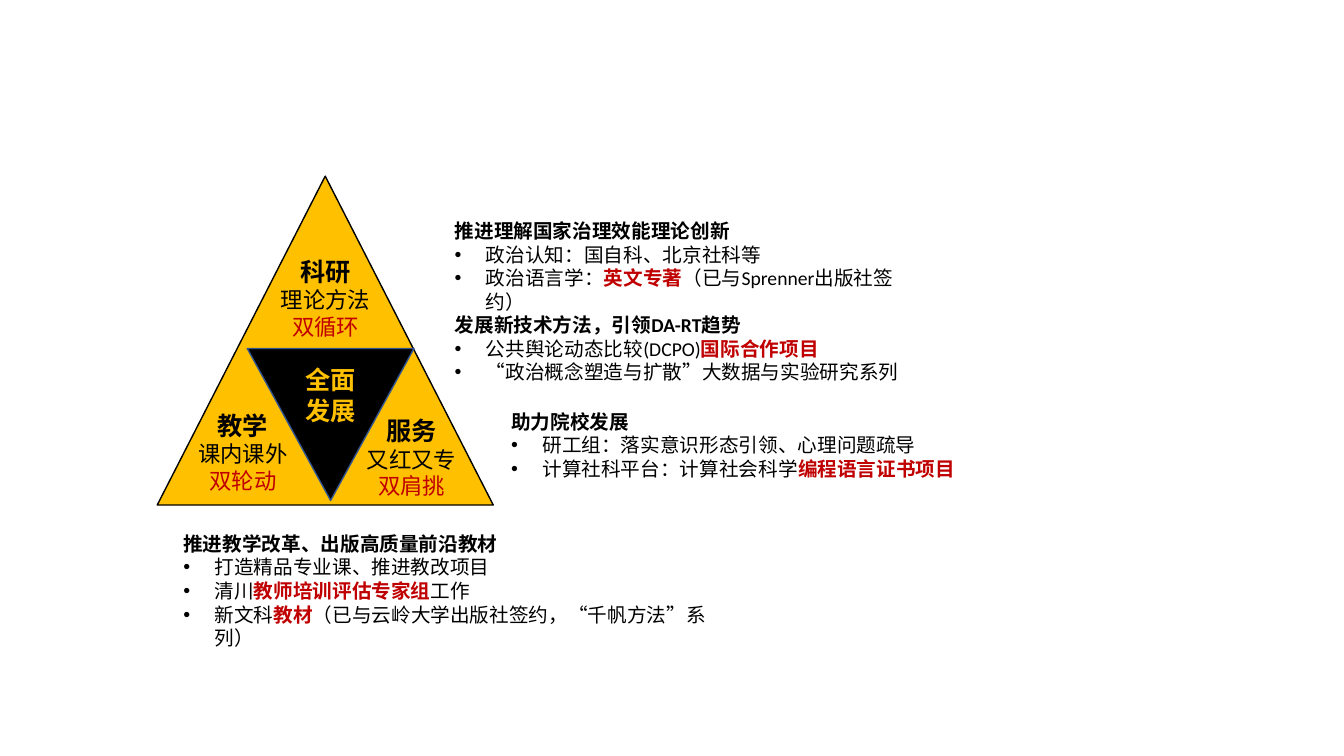
from lxml.etree import SubElement
from pptx import Presentation
from pptx.dml.color import RGBColor
from pptx.enum.shapes import MSO_SHAPE as Shape
from pptx.enum.text import MSO_AUTO_SIZE as AutoSize, PP_ALIGN as Align
from pptx.oxml.ns import qn
from pptx.util import Inches, Pt

WIDTH, HEIGHT = 13.33, 7.5


def color(hex_string):
    """Turn a hex string into a colour."""
    return RGBColor.from_string(hex_string)


def add_text(paragraph, text, size=14, ink="000000", bold=False, font="Calibri"):
    """Add one formatted run to a paragraph."""
    run = paragraph.add_run()
    run.text = text
    run.font.size, run.font.bold, run.font.name = Pt(size), bold, font
    run.font.color.rgb = color(ink)


def add_bullet(paragraph, indent=0.31):
    """Give a paragraph a round bullet and a hanging indent."""
    props = paragraph._p.get_or_add_pPr()
    props.set("marL", str(Inches(indent)))
    props.set("indent", str(-Inches(indent)))
    SubElement(props, qn("a:buFont"), typeface="Arial")
    SubElement(props, qn("a:buChar"), char="•")


class Board:
    """Holds the style and the current slide; places are percent of the slide."""

    gold, black, red, edge = "FFC000", "000000", "C00000", "325491"

    def __init__(self, slide):
        """Keep the slide to draw on."""
        self.shapes = slide.shapes

    def place(self, left, top, width, height):
        """Turn percentages of the slide into lengths."""
        return [Inches(share * side / 100) for share, side in
                zip((left, top, width, height), (WIDTH, HEIGHT) * 2)]

    def triangle(self, area, fill, line, turn=0):
        """Draw a filled triangle."""
        triangle = self.shapes.add_shape(Shape.ISOSCELES_TRIANGLE, *self.place(*area))
        triangle.shadow.inherit = False
        triangle.rotation = turn
        triangle.fill.solid()
        triangle.fill.fore_color.rgb = color(fill)
        triangle.line.color.rgb = color(line)
        triangle.line.width = Pt(1)

    def paragraphs(self, area, count):
        """Add a wrapping text box and return its paragraphs."""
        frame = self.shapes.add_textbox(*self.place(*area)).text_frame
        frame.word_wrap = True
        frame.auto_size = AutoSize.SHAPE_TO_FIT_TEXT
        return [frame.paragraphs[0]] + [frame.add_paragraph() for _ in range(count - 1)]

    def corner(self, left, top, title, theme, double):
        """Label one corner of the triangle."""
        lines = self.paragraphs((left, top, 8.85, 12.5), 3)
        for line in lines:
            line.alignment = Align.CENTER
        add_text(lines[0], title, size=18, bold=True)
        add_text(lines[1], theme, size=16)
        add_text(lines[2], double, size=16, ink=self.red)

    def core(self, area, text):
        """Label the inner triangle."""
        add_text(self.paragraphs(area, 1)[0], text, size=18, ink=self.gold, bold=True)

    def plan(self, area, *sections):
        """List headings with bulleted points; *stars* mark a highlight."""
        rows = [(text, level) for heading, *points in sections
                for text, level in [(heading, 0)] + [(point, 1) for point in points]]
        for paragraph, (text, level) in zip(self.paragraphs(area, len(rows)), rows):
            if level == 0:
                add_text(paragraph, text, bold=True)
                continue
            add_bullet(paragraph)
            for index, part in enumerate(text.split("*")):
                marked = index % 2 == 1
                if part:
                    add_text(paragraph, part, bold=marked,
                             ink=self.red if marked else self.black)


deck = Presentation()
deck.slide_width, deck.slide_height = Inches(WIDTH), Inches(HEIGHT)
board = Board(deck.slides.add_slide(deck.slide_layouts[6]))

board.triangle((11.7, 23.3, 25, 43.5), board.gold, board.black)
board.corner(19.8, 33.2, "科研", "理论方法", "双循环")
board.corner(13.65, 53.6, "教学", "课内课外", "双轮动")
board.corner(26.2, 54.3, "服务", "又红又专", "双肩挑")

board.plan(
    (33.1, 28.3, 36.4, 20.1),
    ("推进理解国家治理效能理论创新",
     "政治认知：国自科、北京社科等",
     "政治语言学：*英文专著*（已与Sprenner出版社签约）"),
    ("发展新技术方法，引领DA-RT趋势",
     "公共舆论动态比较(DCPO)*国际合作项目*",
     "“政治概念塑造与扩散”大数据与实验研究系列"))
board.plan(
    (12.9, 69.7, 40.5, 13.9),
    ("推进教学改革、出版高质量前沿教材",
     "打造精品专业课、推进教改项目",
     "清川*教师培训评估专家组*工作",
     "新文科*教材*（已与云岭大学出版社签约，“千帆方法”系列）"))
board.plan(
    (37.3, 53.5, 34.65, 10.8),
    ("助力院校发展",
     "研工组：落实意识形态引领、心理问题疏导",
     "计算社科平台：计算社会科学*编程语言证书项目*"))

board.triangle((18.4, 46.1, 12.4, 20.1), board.black, board.edge, turn=180)
board.core((22, 47.6, 5.9, 9.5), "全面发展")

deck.save("out.pptx")
